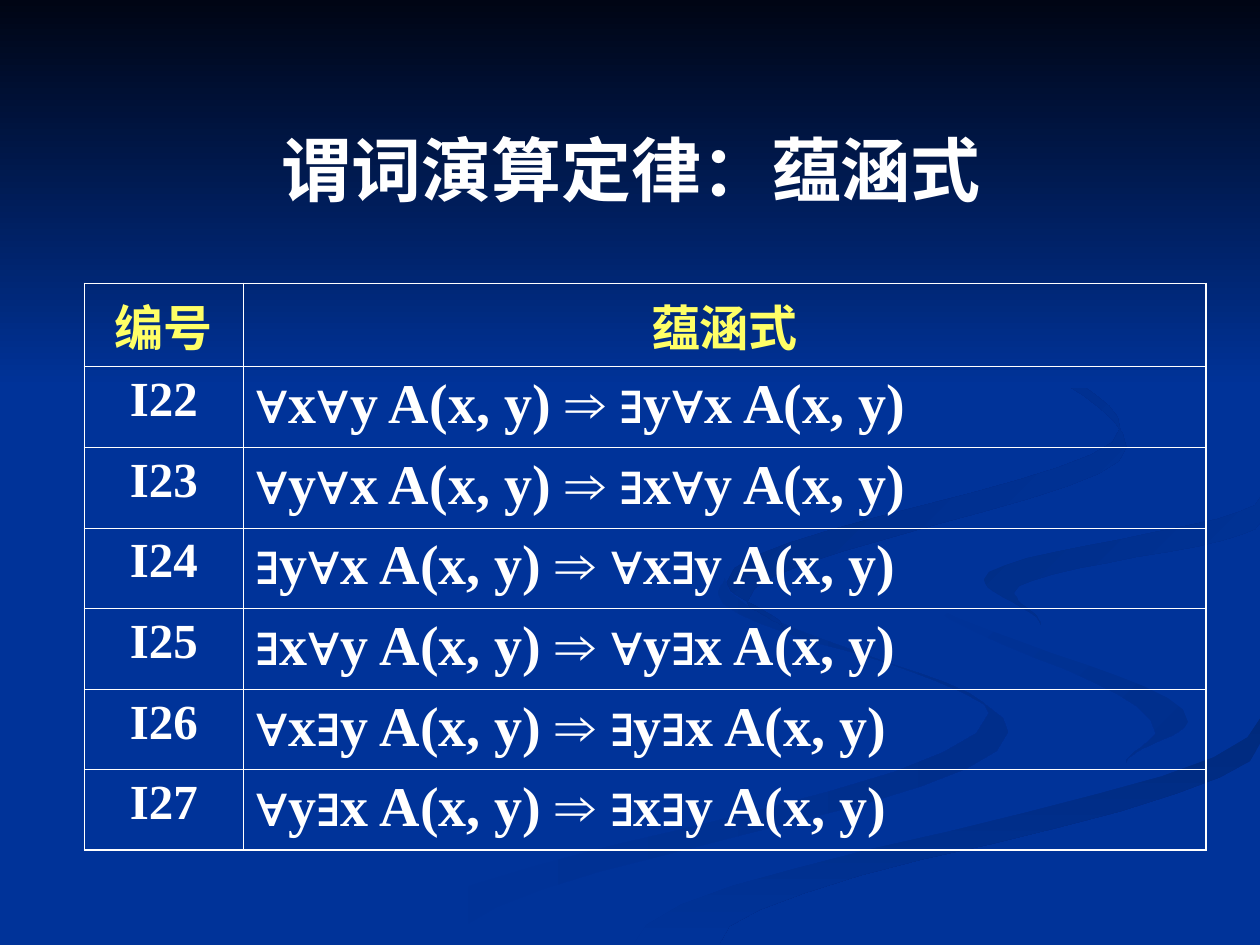
from itertools import pairwise

from lxml import etree
from pptx import Presentation
from pptx.dml.color import RGBColor
from pptx.enum.shapes import MSO_SHAPE
from pptx.enum.text import MSO_ANCHOR, PP_ALIGN
from pptx.oxml.ns import qn
from pptx.util import Inches, Pt

CENTER, LEFT = PP_ALIGN.CENTER, PP_ALIGN.LEFT
MIDDLE = MSO_ANCHOR.MIDDLE
RECTANGLE = MSO_SHAPE.RECTANGLE
WIDTH, HEIGHT = Inches(10), Inches(7.5)
GRID_COLUMNS, GRID_ROWS = 1000, 750
UNIT = WIDTH // GRID_COLUMNS
COLORS = {
    "blue": "003399", "navy": "000514", "white": "FFFFFF", "yellow": "FFFF66",
    "shade_low": "002E8B", "shade_band": "002A7D", "shade_right": "002D86",
    "shade_top": "002B82",
}
SERIF, SANS = "Times New Roman", "Arial"
OUTER, INNER = Pt(1.08), Pt(0.45)

REACH = 0.35
STEPS_PER_SWING = 12
SWIRL_TIP, SWIRL_TURN = (725, 462), (943, 573)
HOOK_TURN = (781, 460)
BAND_TOP, BAND_FOOT = (GRID_COLUMNS, 570), (503, 749)
RIBBONS = [
    {"left": [(575, 459), (570, 471), (785, 566), (300, 749)],
     "right": [(575, 459), (800, 581), (361, 749)],
     "start": "blue", "end": "shade_low"},
    {"left": [SWIRL_TIP, (917, 581), (894, 605)],
     "right": [SWIRL_TIP, SWIRL_TURN, (894, 605)],
     "start": "blue", "end": "shade_low", "angle": 45},
    {"left": [BAND_TOP, BAND_FOOT],
     "right": [(GRID_COLUMNS, 590), (571, 749)],
     "start": "shade_band", "end": "blue", "angle": 90},
    {"left": [(GRID_COLUMNS, 375), SWIRL_TIP, SWIRL_TURN, (477, 749)],
     "right": [(GRID_COLUMNS, 395), HOOK_TURN, (GRID_COLUMNS, 555),
               BAND_TOP, BAND_FOOT],
     "start": "blue"},
    {"left": [(GRID_COLUMNS, 395), HOOK_TURN, (826, 496)],
     "right": [(GRID_COLUMNS, 415), (805, 470), (826, 496)],
     "start": "shade_right", "end": "blue", "angle": 45},
    {"left": [(762, 233), (889, 340), (577, 462), (622, 500)],
     "right": [(762, 233), (894, 355), (593, 478), (622, 500)],
     "start": "shade_top", "end": "blue", "angle": 45},
]
FADE_ROWS = 308

HEADINGS = ["编号", "蕴涵式"]
FIRST_LAW = 22
LAWS = [
    ("∀x∀y", "∃y∀x"), ("∀y∀x", "∃x∀y"), ("∃y∀x", "∀x∃y"),
    ("∃x∀y", "∀y∃x"), ("∀x∃y", "∃y∃x"), ("∀y∃x", "∃x∃y"),
]


def rgb(name):
    return RGBColor.from_string(COLORS[name])


def add_span(para, text, size=28, color="white", font=SERIF, align=CENTER):
    para.alignment = align
    span = para.add_run()
    span.text = text
    span.font.name = font
    span.font.size = Pt(size)
    span.font.bold = True
    span.font.color.rgb = rgb(color)


def blend(near, near_control, far_control, far, share):
    rest = 1 - share
    return (near * rest ** 3 + 3 * near_control * rest ** 2 * share
            + 3 * far_control * rest * share ** 2 + far * share ** 3)


def winding_edge(turns):
    edge = [turns[0]]
    for (near_x, near_y), (far_x, far_y) in pairwise(turns):
        reach = REACH * (far_y - near_y)
        for step in range(1, STEPS_PER_SWING + 1):
            share = step / STEPS_PER_SWING
            edge.append((
                blend(near_x, near_x, far_x, far_x, share),
                blend(near_y, near_y + reach, far_y - reach, far_y, share)))
    return edge


def paint(shape, start, end=None, angle=0):
    shape.shadow.inherit = False
    shape.line.fill.background()
    if end is None:
        shape.fill.solid()
        shape.fill.fore_color.rgb = rgb(start)
        return
    shape.fill.gradient()
    shape.fill.gradient_angle = -angle % 360
    for stop, name in zip(shape.fill.gradient_stops, (start, end)):
        stop.color.rgb = rgb(name)


def add_ribbon(page, left, right, **colors):
    outline = winding_edge(left) + winding_edge(right)[::-1]
    builder = page.shapes.build_freeform(*outline[0], scale=UNIT)
    builder.add_line_segments(outline[1:], close=True)
    paint(builder.convert_to_shape(), **colors)


def add_backdrop(page):
    page.background.fill.solid()
    page.background.fill.fore_color.rgb = rgb("blue")
    for ribbon in RIBBONS:
        add_ribbon(page, **ribbon)
    fade = page.shapes.add_shape(RECTANGLE, 0, 0, WIDTH, FADE_ROWS * UNIT)
    paint(fade, start="navy", end="blue", angle=90)


def add_title(page, text):
    box = page.shapes.add_textbox(51 * UNIT, 91 * UNIT, 900 * UNIT, 86 * UNIT)
    box.text_frame.word_wrap = True
    box.text_frame.vertical_anchor = MIDDLE
    add_span(box.text_frame.paragraphs[0], text, size=40)


def set_borders(cell, widths):
    properties = cell._tc.get_or_add_tcPr()
    for side, width in widths.items():
        line = etree.SubElement(properties, qn(f"a:ln{side}"), w=str(int(width)))
        fill = etree.SubElement(line, qn("a:solidFill"))
        etree.SubElement(fill, qn("a:srgbClr"), val=COLORS["white"])


def style_grid(table):
    last_row, last_column = len(LAWS), len(HEADINGS) - 1
    table.first_row = table.horz_banding = False
    for column, width in zip(table.columns, (126, 764)):
        column.width = width * UNIT
    for index, row in enumerate(table.rows):
        row.height = (64 if index else 66) * UNIT
        for position, cell in enumerate(row.cells):
            set_borders(cell, {
                "L": INNER if position else OUTER,
                "R": OUTER if position == last_column else INNER,
                "T": INNER if index else OUTER,
                "B": OUTER if index == last_row else INNER,
            })
            cell.fill.background()


def add_law_table(page):
    frame = page.shapes.add_table(
        len(LAWS) + 1, len(HEADINGS),
        67 * UNIT, 225 * UNIT, 890 * UNIT, 450 * UNIT)
    table = frame.table
    style_grid(table)
    for cell, heading in zip(table.rows[0].cells, HEADINGS):
        add_span(cell.text_frame.paragraphs[0], heading, color="yellow")
    for index, (premise, conclusion) in enumerate(LAWS):
        number, formula = (
            cell.text_frame.paragraphs[0]
            for cell in table.rows[index + 1].cells)
        add_span(number, f"I{FIRST_LAW + index}")
        for text, font in ((f"{premise} A(x, y) ", SERIF), ("⇒", SANS),
                           (f" {conclusion} A(x, y)", SERIF)):
            add_span(formula, text, size=32, font=font, align=LEFT)


def main():
    deck = Presentation()
    deck.slide_width, deck.slide_height = WIDTH, GRID_ROWS * UNIT
    page = deck.slides.add_slide(deck.slide_layouts[6])
    add_backdrop(page)
    add_title(page, "谓词演算定律：蕴涵式")
    add_law_table(page)
    deck.save("out.pptx")


if __name__ == "__main__":
    main()
